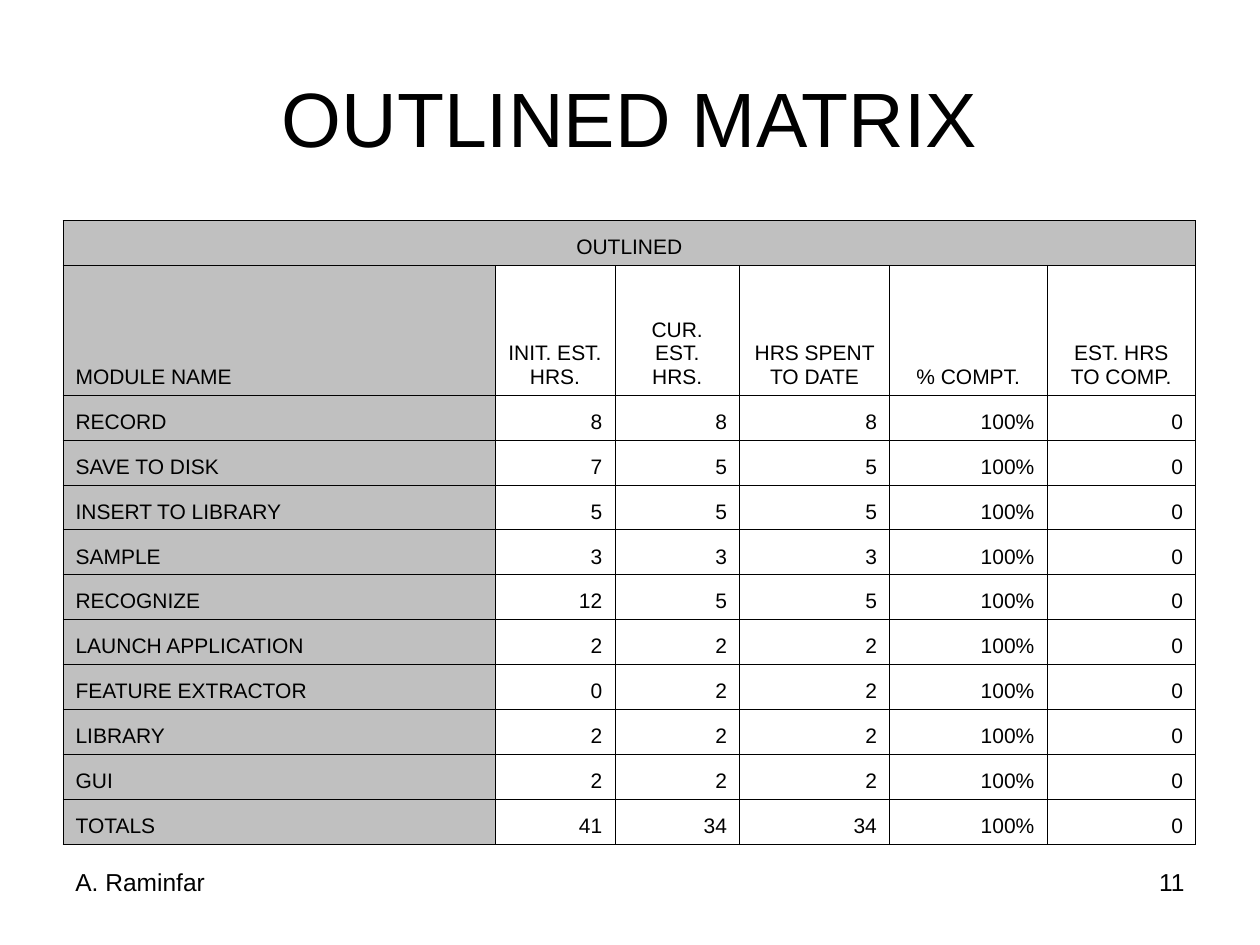
from lxml.etree import SubElement
from pptx import Presentation
from pptx.dml.color import RGBColor
from pptx.enum.text import MSO_ANCHOR as Anchor, PP_ALIGN as Align
from pptx.oxml.ns import qn
from pptx.util import Inches, Pt

BLACK = RGBColor(0x00, 0x00, 0x00)
GRAY = RGBColor(0xC0, 0xC0, 0xC0)
FONT = "Arial"
BORDER_WIDTH = Pt(0.45)

# text, (left, top, width, height), size, alignment, anchor
TEXTS = [
    ("OUTLINED MATRIX", (0.5, 0.3, 9, 1.25), 44, Align.CENTER, Anchor.MIDDLE),
    ("11", (7.17, 6.83, 2.33, 0.52), 14, Align.RIGHT, Anchor.TOP),
    ("A. Raminfar", (0.5, 6.83, 2.33, 0.52), 14, Align.LEFT, Anchor.TOP),
]

BANNER = "OUTLINED"
HEADINGS = ("MODULE NAME", "INIT. EST. HRS.", "CUR. EST. HRS.",
            "HRS SPENT TO DATE", "% COMPT.", "EST. HRS TO COMP.")
MODULES = [
    ("RECORD", 8, 8, 8, "100%", 0),
    ("SAVE TO DISK", 7, 5, 5, "100%", 0),
    ("INSERT TO LIBRARY", 5, 5, 5, "100%", 0),
    ("SAMPLE", 3, 3, 3, "100%", 0),
    ("RECOGNIZE", 12, 5, 5, "100%", 0),
    ("LAUNCH APPLICATION", 2, 2, 2, "100%", 0),
    ("FEATURE EXTRACTOR", 0, 2, 2, "100%", 0),
    ("LIBRARY", 2, 2, 2, "100%", 0),
    ("GUI", 2, 2, 2, "100%", 0),
    ("TOTALS", 41, 34, 34, "100%", 0),
]
COLUMN_WIDTHS = (3.43, 0.95, 0.99, 1.19, 1.25, 1.18)
TABLE_BOX = (0.5, 1.75, 9, 4.95)
HEADING_HEIGHT = 1.03


def write(frame, text, size, align):
    paragraph = frame.paragraphs[0]
    paragraph.text = str(text)
    paragraph.alignment = align
    font = paragraph.runs[0].font
    for name, value in {"name": FONT, "size": Pt(size)}.items():
        setattr(font, name, value)
    font.color.rgb = BLACK


def add_borders(cell):
    properties = cell._tc.get_or_add_tcPr()
    for side in ("a:lnL", "a:lnR", "a:lnT", "a:lnB"):
        line = SubElement(properties, qn(side), w=str(BORDER_WIDTH))
        fill = SubElement(line, qn("a:solidFill"))
        SubElement(fill, qn("a:srgbClr"), val=str(BLACK))


def add_matrix(slide):
    rows = [(BANNER,), HEADINGS, *MODULES]
    table = slide.shapes.add_table(
        len(rows), len(HEADINGS), *map(Inches, TABLE_BOX)).table
    table.first_row = table.horz_banding = False
    for column, width in zip(table.columns, COLUMN_WIDTHS):
        column.width = Inches(width)
    row_height = (TABLE_BOX[3] - HEADING_HEIGHT) / (len(rows) - 1)
    for r, row in enumerate(table.rows):
        row.height = Inches(HEADING_HEIGHT if r == 1 else row_height)
        for c, cell in enumerate(row.cells):
            add_borders(cell)
            cell.vertical_anchor = Anchor.BOTTOM
            if r == 0 or c == 0:
                cell.fill.solid()
                cell.fill.fore_color.rgb = GRAY
            else:
                cell.fill.background()
        for c, value in enumerate(rows[r]):
            if r == 0:
                align = Align.CENTER
            elif c == 0:
                align = Align.LEFT
            else:
                align = Align.CENTER if r == 1 else Align.RIGHT
            write(table.cell(r, c).text_frame, value, 12, align)
    table.cell(0, 0).merge(table.cell(0, len(HEADINGS) - 1))


def main():
    deck = Presentation()
    deck.slide_width, deck.slide_height = Inches(10), Inches(7.5)
    slide = deck.slides.add_slide(deck.slide_layouts[6])
    for text, box, size, align, anchor in TEXTS:
        frame = slide.shapes.add_textbox(*map(Inches, box)).text_frame
        frame.word_wrap = True
        frame.vertical_anchor = anchor
        write(frame, text, size, align)
    add_matrix(slide)
    deck.save("out.pptx")


if __name__ == "__main__":
    main()
